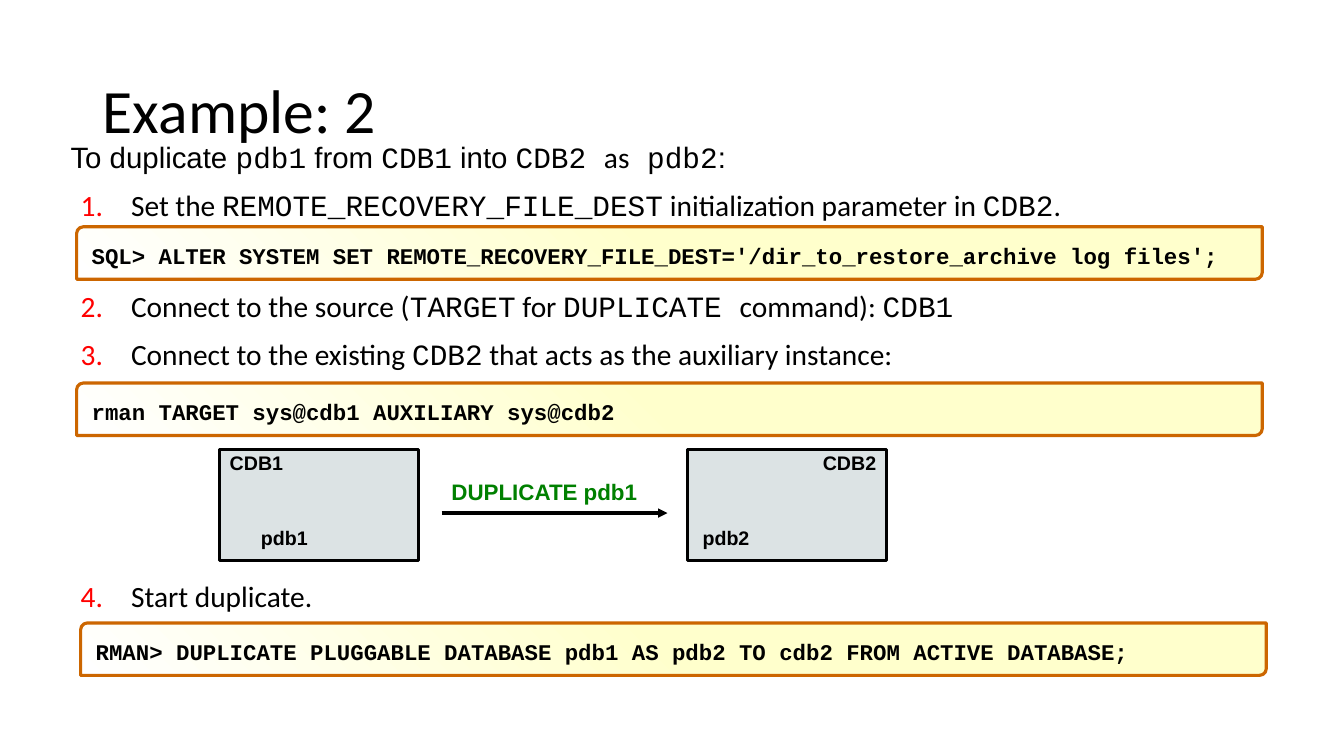
import pptx
import pptx.util
import pptx.dml.color
import pptx.enum.shapes
import pptx.enum.text
import copy
from lxml import etree

Inches, Pt = pptx.util.Inches, pptx.util.Pt
SHAPE = pptx.enum.shapes.MSO_SHAPE
ALIGN = pptx.enum.text.PP_ALIGN
ANCHOR = pptx.enum.text.MSO_ANCHOR
NS = "http://schemas.openxmlformats.org/drawingml/2006/main"
SANS, BODY, MONO = "Arial", "Calibri", "Courier New"

TITLE = "Example: 2"
INTRO = [("To duplicate ", SANS), ("pdb1", MONO), (" from ", SANS),
         ("CDB1", MONO), (" into ", SANS), ("CDB2 ", MONO),
         ("as", BODY), (" pdb2", MONO), (":", SANS)]
STEPS = [
    (9, [("Set the ", BODY), ("REMOTE_RECOVERY_FILE_DEST", MONO),
         (" initialization parameter in ", BODY), ("CDB2", MONO), (".", BODY)]),
    (47.3, [("Connect to the source (", BODY), ("TARGET", MONO), (" for ", BODY),
            ("DUPLICATE ", MONO), ("command): ", BODY), ("CDB1", MONO)]),
    (9, [("Connect to the existing ", BODY), ("CDB2", MONO),
         (" that acts as the auxiliary instance:", BODY)]),
    (147.5, [("Start duplicate.", BODY)]),
]
CODE = [
    (0.76, 2.25, "SQL> ALTER SYSTEM SET REMOTE_RECOVERY_FILE_DEST="
                 "'/dir_to_restore_archive log files';"),
    (0.76, 3.8, "rman TARGET sys@cdb1 AUXILIARY sys@cdb2"),
    (0.8, 6.18, "RMAN> DUPLICATE PLUGGABLE DATABASE pdb1 AS pdb2 TO cdb2 "
                "FROM ACTIVE DATABASE;"),
]
BASES = [(2.18, "CDB1", ALIGN.LEFT, 2.49, "pdb1"),
         (6.82, "CDB2", ALIGN.RIGHT, 6.87, "pdb2")]
ARROW = (4.38, 5.09, 6.62, 5.09)
STOPS = [(0, "FFFFCC"), (0.5, "FFFFCC"), (1, "FFFFFF")]


def color(code):
    return pptx.dml.color.RGBColor.from_string(code)


def style(item, **values):
    for name, value in values.items():
        setattr(item, name, value)


def frame(item, pads, **values):
    sides = ("margin_left", "margin_top", "margin_right", "margin_bottom")
    style(item, **dict(zip(sides, map(Inches, pads))), **values)


def write(para, runs, size, ink="000000", bold=False):
    for text, face in runs:
        run = para.add_run()
        run.text = text
        style(run.font, name=face, size=Pt(size), bold=bold)
        run.font.color.rgb = color(ink)


def node(parent, tag, **values):
    return etree.SubElement(parent, "{%s}%s" % (NS, tag), **values)


def number(para):
    props = para._p.get_or_add_pPr()
    props.set("marL", str(Inches(0.6)))
    props.set("indent", str(Inches(-0.5)))
    node(node(props, "buClr"), "srgbClr", val="FF0000")
    node(props, "buFont", typeface=BODY)
    node(props, "buAutoNum", type="arabicPeriod")


def outline(line, ink):
    line.color.rgb = color(ink)
    line.width = Pt(2.25)


def block(kind, place, ink):
    shape = shapes.add_shape(kind, *map(Inches, place))
    shape.shadow.inherit = False
    outline(shape.line, ink)
    return shape


def label(place, text, size, ink="000000", wrap=False):
    box = shapes.add_textbox(*map(Inches, place)).text_frame
    frame(box, (0.1, 0.05, 0.1, 0.05), word_wrap=wrap)
    write(box.paragraphs[0], [(text, SANS)], size, ink, True)


def shade(fill):
    fill.gradient()
    fill.gradient_angle = 225
    stops = shapes[-1]._element.spPr.find(".//{%s}gsLst" % NS)
    stops.append(copy.deepcopy(stops[-1]))
    for stop, (place, ink) in zip(fill.gradient_stops, STOPS):
        stop.position = place
        stop.color.rgb = color(ink)


deck = pptx.Presentation()
style(deck, slide_width=Inches(13.33), slide_height=Inches(7.5))
slide = deck.slides.add_slide(deck.slide_layouts[5])
shapes = slide.shapes

title = shapes.title
style(title, left=Inches(0.92), top=Inches(0.4),
      width=Inches(11.5), height=Inches(1.45))
frame(title.text_frame, (0.1, 0.05, 0.1, 0.05), vertical_anchor=ANCHOR.MIDDLE)
head = title.text_frame.paragraphs[0]
style(head, alignment=ALIGN.LEFT, line_spacing=0.9)
write(head, [(TITLE, BODY)], 44)

body = shapes.add_textbox(*map(Inches, (0.68, 1.36, 11.97, 4.94))).text_frame
frame(body, (0.02, 0.02, 0.02, 0.02), word_wrap=True)
write(body.paragraphs[0], INTRO, 21)
for gap, runs in STEPS:
    para = body.add_paragraph()
    style(para, level=1, space_before=Pt(gap))
    number(para)
    write(para, runs, 21)

for left, top, text in CODE:
    shape = block(SHAPE.ROUND_2_DIAG_RECTANGLE, (left, top, 11.76, 0.52), "CC6600")
    shape.adjustments[0] = 0.13
    shape.adjustments[1] = 0
    shade(shape.fill)
    frame(shape.text_frame, (0.13, 0.13, 0.02, 0.08),
          word_wrap=True, vertical_anchor=ANCHOR.MIDDLE)
    para = shape.text_frame.paragraphs[0]
    para.alignment = ALIGN.LEFT
    write(para, [(text, MONO)], 16, bold=True)

for left, text, side, inner, name in BASES:
    shape = block(SHAPE.RECTANGLE, (left, 4.46, 1.97, 1.1), "000000")
    shape.fill.solid()
    shape.fill.fore_color.rgb = color("DCE3E4")
    frame(shape.text_frame, (0.1, 0.05, 0.1, 0.05),
          word_wrap=False, vertical_anchor=ANCHOR.TOP)
    para = shape.text_frame.paragraphs[0]
    style(para, alignment=side, line_spacing=0.85)
    write(para, [(text, SANS)], 14, bold=True)
    label((inner, 5.17, 0.67, 0.34), name, 14)

label((4.38, 4.69, 2.44, 0.37), "DUPLICATE pdb1", 16, "008000", True)
arrow = shapes.add_connector(pptx.enum.shapes.MSO_CONNECTOR.STRAIGHT,
                             *map(Inches, ARROW))
outline(arrow.line, "000000")
node(arrow.line._get_or_add_ln(), "tailEnd", type="triangle")
node(arrow._element.spPr, "effectLst")

deck.save("out.pptx")
